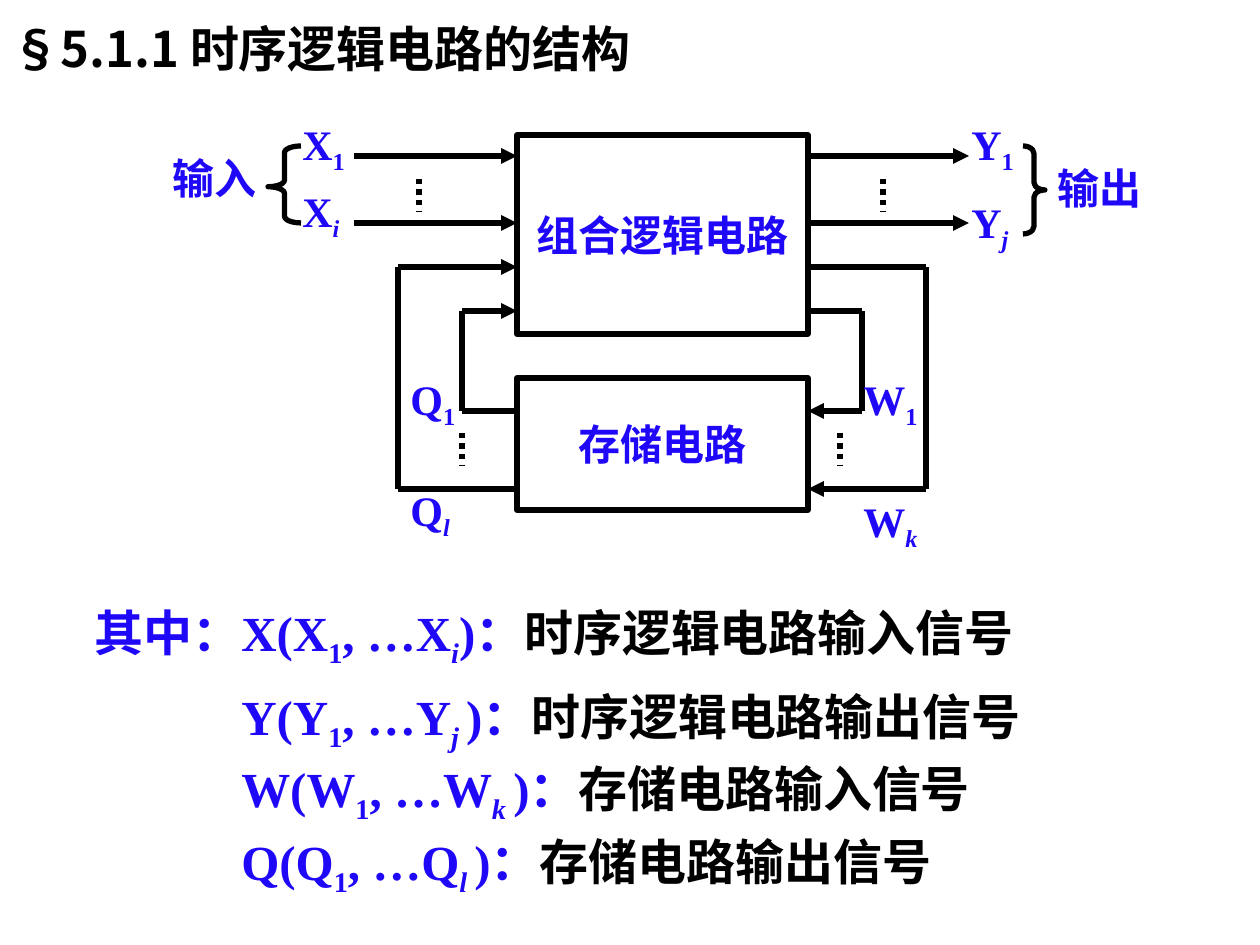
from lxml.etree import SubElement
from pptx import Presentation
from pptx.dml.color import RGBColor
from pptx.enum.dml import MSO_LINE as Dash
from pptx.enum.shapes import MSO_CONNECTOR as Conn, MSO_SHAPE as Geo
from pptx.enum.text import MSO_ANCHOR as Anchor, MSO_AUTO_SIZE as Fit, PP_ALIGN as Align
from pptx.oxml.ns import qn
from pptx.util import Inches, Pt

SERIF, SANS = "Times New Roman", "Noto Sans CJK SC"
BLUE, BLACK = "1F08F8", "000000"


def px(n):
    return round(n * Inches(1) / 126)


def hue(code):
    return RGBColor.from_string(code)


class Page:
    """Holds the line and text style and the current slide."""
    weight = Pt(3)

    def __init__(self, deck):
        self.slide = deck.slides.add_slide(deck.slide_layouts[5])
        self.shapes = self.slide.shapes

    def run(self, para, text, size=24, color=BLUE, face=SERIF, sub=False, slant=False):
        run = para.add_run()
        run.text = text
        font = run.font
        font.size, font.bold, font.name = Pt(size), True, face
        font.italic = slant
        font.color.rgb = hue(color)
        props = run._r.get_or_add_rPr()
        SubElement(props, qn("a:ea")).set("typeface", SANS)
        if sub:
            props.set("baseline", "-25000")

    def title(self, text, x, y, w, h):
        box = self.shapes.title
        box.left, box.top, box.width, box.height = map(px, (x, y, w, h))
        frame = box.text_frame
        frame.word_wrap, frame.auto_size = True, Fit.NONE
        frame.vertical_anchor = Anchor.TOP
        para = frame.paragraphs[0]
        para.alignment, para.line_spacing = Align.LEFT, 1.2
        para.space_before = Pt(0)
        self.run(para, text, 28, BLACK, SANS)

    def text(self, x, y, w, h, wrap=True):
        frame = self.shapes.add_textbox(*map(px, (x, y, w, h))).text_frame
        frame.word_wrap, frame.auto_size = wrap, Fit.SHAPE_TO_FIT_TEXT
        return frame.paragraphs[0]

    def shape(self, kind, x, y, w, h):
        item = self.shapes.add_shape(kind, *map(px, (x, y, w, h)))
        item.shadow.inherit = False
        item.fill.background()
        item.line.color.rgb, item.line.width = hue(BLACK), self.weight
        return item

    def block(self, text, *area):
        frame = self.shape(Geo.RECTANGLE, *area).text_frame
        frame.word_wrap, frame.vertical_anchor = False, Anchor.MIDDLE
        para = frame.paragraphs[0]
        para.alignment = Align.CENTER
        self.run(para, text)

    def brace(self, kind, area, curl, tip):
        item = self.shape(kind, *area)
        item.adjustments[0], item.adjustments[1] = curl, tip

    def line(self, x1, y1, x2, y2, arrow=False, dots=False):
        wire = self.shapes.add_connector(Conn.STRAIGHT, *map(px, (x1, y1, x2, y2)))
        wire.line.color.rgb, wire.line.width = hue(BLACK), self.weight
        if dots:
            wire.line.dash_style = Dash.ROUND_DOT
        if arrow:
            SubElement(wire.line._get_or_add_ln(), qn("a:tailEnd")).set("type", "triangle")
        SubElement(wire._element.spPr, qn("a:effectLst"))

    def label(self, base, sub, x, y, w, wrap=True):
        para = self.text(x, y, w, 63, wrap)
        self.run(para, base)
        if sub:
            self.run(para, sub, sub=True, slant=sub != "1")

    def entry(self, name, last, note, y, w):
        para = self.text(229, y, w, 72)
        self.run(para, f"{name}({name}", 28)
        self.run(para, "1", 28, sub=True)
        self.run(para, f", …{name}", 28)
        self.run(para, last, 28, sub=True, slant=True)
        self.run(para, ")：", 28)
        self.run(para, note, 28, BLACK)


def main():
    deck = Presentation()
    deck.slide_width, deck.slide_height = Inches(10), Inches(7.5)
    page = Page(deck)
    page.title("§5.1.1 时序逻辑电路的结构", -1, 0, 1217, 625)

    # Two circuit blocks
    left, right = 517, 808
    page.block("组合逻辑电路", left, 135, right - left, 199)
    page.block("存储电路", left, 378, right - left, 132)

    # Outer inputs and outputs
    for y in (156, 223):
        page.line(354, y, left, y, arrow=True)
        page.line(right, y, 969, y, arrow=True)

    # Feedback loops: left x, right x, upper y, lower y
    for west, east, top, low in ((398, 926, 267, 489), (462, 862, 311, 411)):
        page.line(west, top, left, top, arrow=True)
        page.line(west, top, west, low)
        page.line(west, low, left, low)
        page.line(right, top, east, top)
        page.line(east, top, east, low)
        page.line(east, low, right, low, arrow=True)

    # Dotted marks for omitted signals
    for x, y in ((419, 179), (883, 179), (462, 433), (840, 433)):
        page.line(x, y, x, y + 33, dots=True)

    # Braces and signal names
    page.brace(Geo.LEFT_BRACE, (268, 146, 33, 77), 0.2, 0.53)
    page.brace(Geo.RIGHT_BRACE, (1023, 146, 22, 88), 0.34, 0.5)
    for item in (
        ("X", "1", 290, 112, 97), ("X", "i", 290, 179, 72),
        ("Y", "1", 959, 112, 72), ("Y", "j", 959, 190, 64, False),
        ("W", "1", 851, 367, 83), ("W", "k", 851, 489, 83),
        ("Q", "1", 398, 367, 74), ("Q", "l", 398, 478, 66, False),
        ("输入", "", 160, 146, 111, False), ("输出", "", 1045, 156, 111, False),
    ):
        page.label(*item)

    # Meaning of each signal
    page.run(page.text(82, 596, 173, 72), "其中：", 28, face=SANS)
    for item in (
        ("X", "i", "时序逻辑电路输入信号", 596, 960),
        ("Y", "j ", "时序逻辑电路输出信号", 680, 955),
        ("W", "k ", "存储电路输入信号", 752, 872),
        ("Q", "l ", "存储电路输出信号", 825, 850),
    ):
        page.entry(*item)

    deck.save("out.pptx")


if __name__ == "__main__":
    main()
